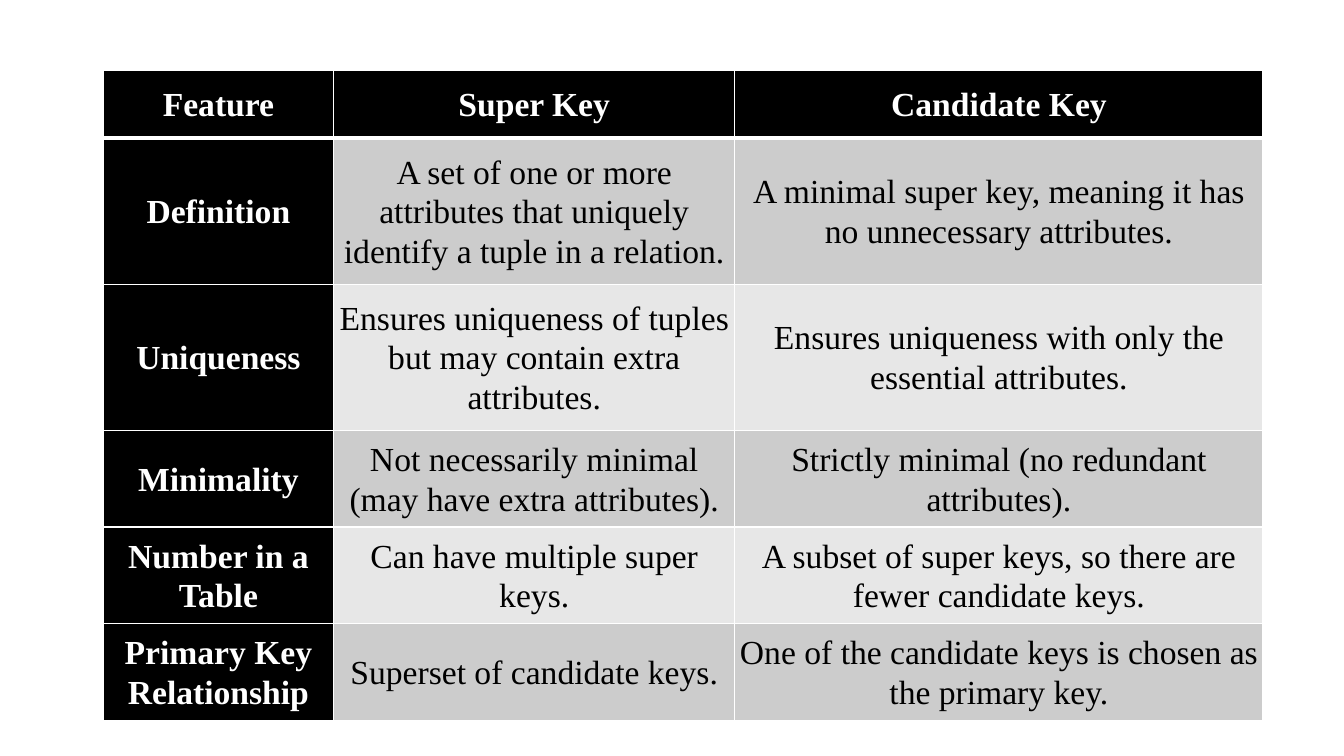
from dataclasses import dataclass

from lxml.etree import SubElement
from pptx import Presentation
from pptx.dml.color import RGBColor
from pptx.enum.text import MSO_ANCHOR as Anchor, PP_ALIGN as Align
from pptx.oxml.ns import qn
from pptx.util import Inches, Pt


@dataclass(frozen=True)
class Theme:
    font: str = "Times New Roman"
    text_size: int = 24
    line_spacing: float = 1.07
    space_after: int = 8
    cell_margin: float = 0.01
    dark: str = "000000"
    light: str = "FFFFFF"
    bands: tuple = ("CCCCCC", "E7E7E7")
    thin_rule: int = 1
    header_rule: int = 3


KEY_COMPARISON = [
    ("Feature", "Super Key", "Candidate Key"),
    ("Definition",
     "A set of one or more attributes that uniquely identify a tuple in a relation.",
     "A minimal super key, meaning it has no unnecessary attributes."),
    ("Uniqueness",
     "Ensures uniqueness of tuples but may contain extra attributes.",
     "Ensures uniqueness with only the essential attributes."),
    ("Minimality",
     "Not necessarily minimal (may have extra attributes).",
     "Strictly minimal (no redundant attributes)."),
    ("Number in a Table",
     "Can have multiple super keys.",
     "A subset of super keys, so there are fewer candidate keys."),
    ("Primary Key Relationship",
     "Superset of candidate keys.",
     "One of the candidate keys is chosen as the primary key."),
]


class SlideBuilder:
    """Places elements on a grid of 100 columns by 100 rows."""

    def __init__(self, presentation, theme):
        self.theme = theme
        self.column = presentation.slide_width / 100
        self.row = presentation.slide_height / 100
        self.slide = presentation.slides.add_slide(presentation.slide_layouts[6])

    def add_text(self, frame, text, color, bold=False, align=Align.CENTER):
        theme = self.theme
        paragraph = frame.paragraphs[0]
        paragraph.alignment = align
        paragraph.line_spacing = theme.line_spacing
        paragraph.space_after = Pt(theme.space_after)
        run = paragraph.add_run()
        run.text = text
        run.font.name = theme.font
        run.font.size = Pt(theme.text_size)
        run.font.bold = bold
        run.font.color.rgb = RGBColor.from_string(color)

    def border(self, cell, **widths):
        """Draw the cell's L, R, T and B edges with the given widths in points."""
        properties = cell._tc.get_or_add_tcPr()
        for side in "LRTB":
            width = widths.get(side, self.theme.thin_rule)
            line = SubElement(properties, qn(f"a:ln{side}"), w=str(Pt(width)))
            fill = SubElement(line, qn("a:solidFill"))
            SubElement(fill, qn("a:srgbClr"), val=self.theme.light)

    def cell(self, cell, text, fill, color, bold, **widths):
        cell.margin_left = cell.margin_right = Inches(self.theme.cell_margin)
        cell.margin_top = cell.margin_bottom = Inches(self.theme.cell_margin)
        cell.vertical_anchor = Anchor.MIDDLE
        self.border(cell, **widths)
        cell.fill.solid()
        cell.fill.fore_color.rgb = RGBColor.from_string(fill)
        self.add_text(cell.text_frame, text, color, bold)

    def table(self, left, top, widths, heights, content):
        theme = self.theme
        table = self.slide.shapes.add_table(
            len(heights), len(widths),
            round(left * self.column), round(top * self.row),
            round(sum(widths) * self.column), round(sum(heights) * self.row),
        ).table
        table.first_col = True
        for column, width in zip(table.columns, widths):
            column.width = round(width * self.column)
        for row, height in zip(table.rows, heights):
            row.height = round(height * self.row)
        for row_index, texts in enumerate(content):
            edges = {0: {"B": theme.header_rule}, 1: {"T": theme.header_rule}}.get(row_index, {})
            for column_index, text in enumerate(texts):
                heading = row_index == 0 or column_index == 0
                band = theme.bands[(row_index - 1) % 2]
                self.cell(
                    table.cell(row_index, column_index), text,
                    fill=theme.dark if heading else band,
                    color=theme.light if heading else theme.dark,
                    bold=heading, **edges,
                )


def main():
    presentation = Presentation()
    presentation.slide_width = Inches(13.33)
    presentation.slide_height = Inches(7.5)
    builder = SlideBuilder(presentation, Theme())
    builder.table(
        left=7.68, top=9.33,
        widths=[17.15, 29.85, 39.3],
        heights=[8.93] + [19.33] * 2 + [12.8] * 3,
        content=KEY_COMPARISON,
    )
    presentation.save("out.pptx")


if __name__ == "__main__":
    main()
